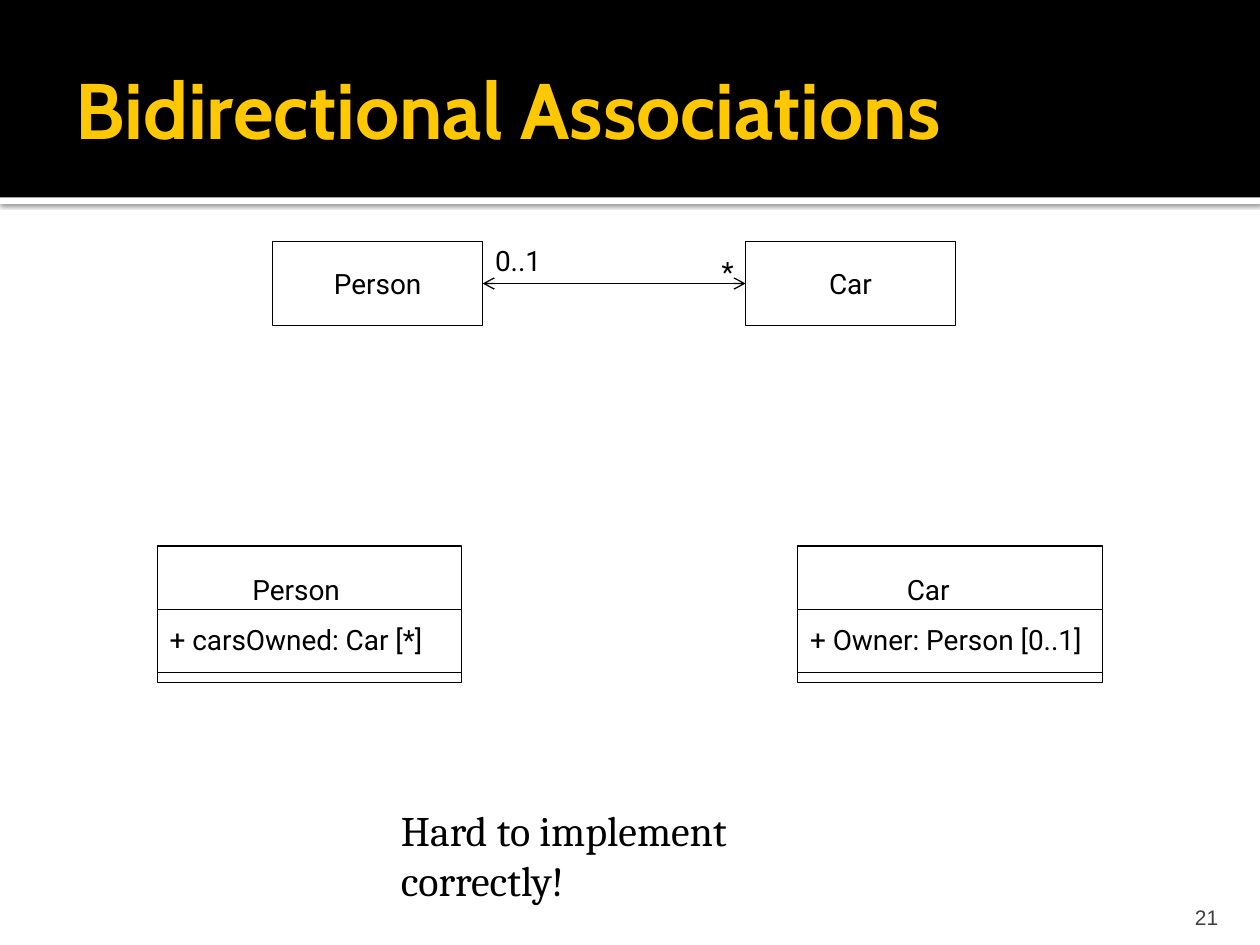
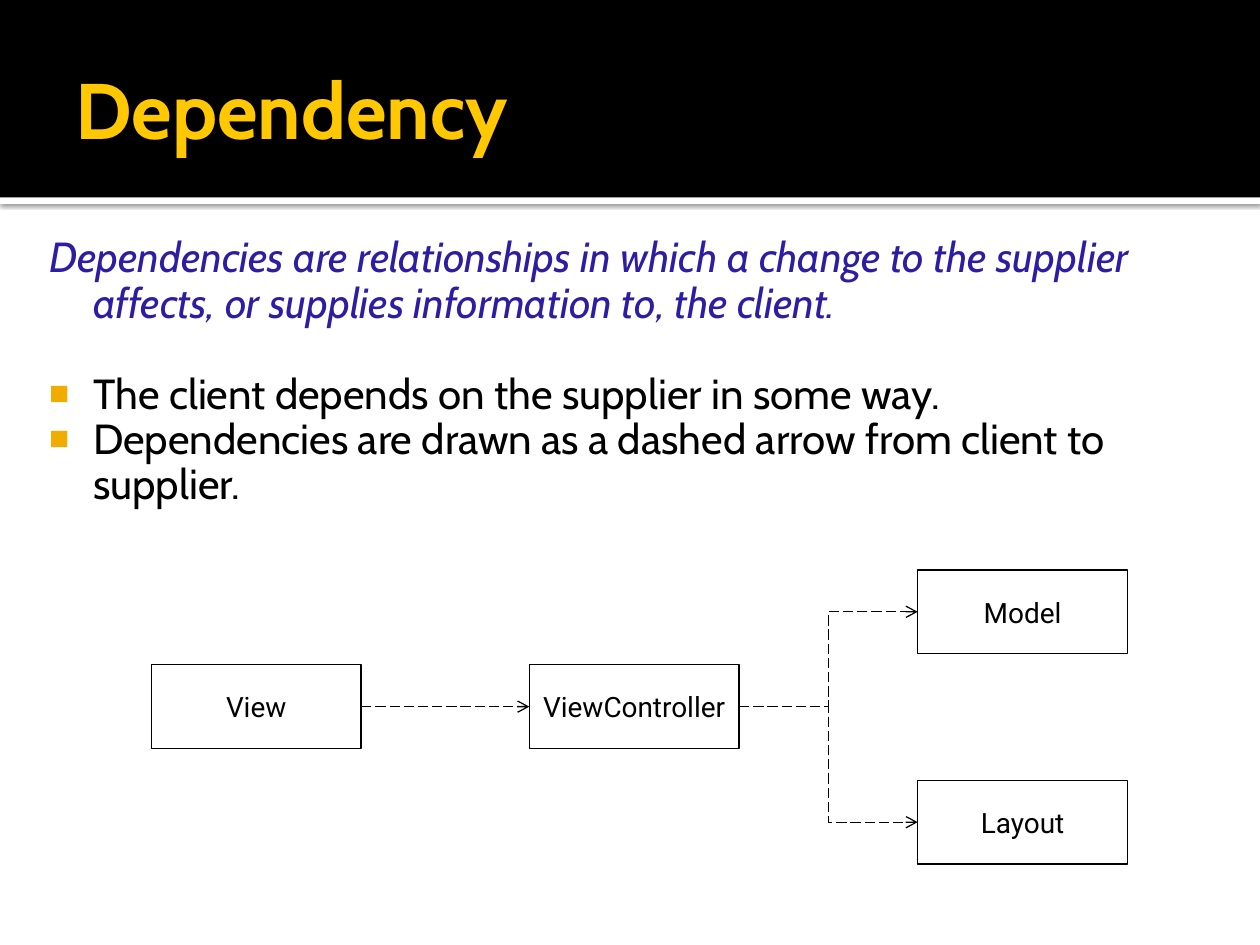
from lxml import etree
from pptx import Presentation, util as u
from pptx.dml.color import RGBColor
from pptx.enum import dml, shapes, text
from pptx.oxml import parse_xml
from pptx.oxml.ns import nsdecls, qn

Cm, Pt = u.Cm, u.Pt

# Content: all positions are in centimetres
ASSOCIATION = {
    "title": "Bidirectional Associations",
    "number": "21",
    "nodes": {"Person": (5.5, 4.87), "Car": (15.03, 4.87)},
    "arrows": [("Person", "Car", "both")],
    "labels": [("*", 14.3, 5.0, 0.74), ("0..1", 9.73, 4.78, 1.45)],
    "classes": [  # name, name indent, attribute, left
        ("Person", 1.67, "+ carsOwned: Car [*]", 3.17),
        ("Car", 1.95, "+ Owner: Person [0..1]", 16.08),
    ],
    "remark": "Hard to implement correctly!",
}
DEPENDENCY = {
    "title": "Dependency",
    "definition": "Dependencies are relationships in which a change to the "
                  "supplier affects, or supplies information to, the client.",
    "points": [
        "The client depends on the supplier in some way.",
        "Dependencies are drawn as a dashed arrow from client to supplier.",
    ],
    "nodes": {
        "View": (3.05, 13.4),
        "ViewController": (10.67, 13.4),
        "Model": (18.5, 11.49),
        "Layout": (18.5, 15.73),
    },
    "arrows": [
        ("View", "ViewController", "dashed"),
        ("ViewController", "Model", "dashed"),
        ("ViewController", "Layout", "dashed"),
    ],
}

# Shared look
COLOURS = {
    "ink": "000000", "paper": "FFFFFF", "title": "FFC800",
    "definition": "2D1DA3", "bullet": "F0AD00", "number": "3F3F3F",
}
FORMATS = {  # colour key, then font attributes
    "title": ("title", {"name": "Cabin", "size": Pt(45), "bold": True}),
    "definition": ("definition", {"name": "Cabin", "size": Pt(24), "italic": True}),
    "point": ("ink", {"name": "Cabin", "size": Pt(24)}),
    "diagram": ("ink", {"name": "Roboto", "size": Pt(16)}),
    "remark": ("ink", {"name": "Cambria", "size": Pt(24)}),
    "number": ("number", {"name": "Arial", "size": Pt(12)}),
}
SLIDE_SIZE = (25.4, 19.05)
BAND_HEIGHT, STRIPE_HEIGHT = 3.98, 0.13
NODE_SIZE = (4.23, 1.69)
CLASS_TOP, CLASS_SIZE, DIVIDERS = 11.01, (6.14, 2.75), (1.27, 2.54)
HANGING = 0.89
MIDDLE, BOTTOM = text.MSO_ANCHOR.MIDDLE, text.MSO_ANCHOR.BOTTOM
CENTER, RIGHT = text.PP_ALIGN.CENTER, text.PP_ALIGN.RIGHT


def rgb(key):
    return RGBColor.from_string(COLOURS[key])


def style(paragraph, format_name):
    colour, values = FORMATS[format_name]
    for attribute, value in values.items():
        setattr(paragraph.font, attribute, value)
    paragraph.font.color.rgb = rgb(colour)


def write(paragraph, words, format_name, **values):
    paragraph.text = words
    for attribute, value in values.items():
        setattr(paragraph, attribute, value)
    style(paragraph, format_name)


def set_frame(frame, anchor=None, wrap=True, margins=(0.25, 0.13, 0.25, 0.13)):
    frame.word_wrap = wrap
    if anchor is not None:
        frame.vertical_anchor = anchor
    for side, margin in zip(("left", "top", "right", "bottom"), margins):
        setattr(frame, f"margin_{side}", Cm(margin))


def add_words(slide, words, format_name, place, align=None, **frame_values):
    frame = slide.shapes.add_textbox(*map(Cm, place)).text_frame
    set_frame(frame, **frame_values)
    write(frame.paragraphs[0], words, format_name, alignment=align)
    return frame


def add_rectangle(slide, place, fill=None):
    rectangle = slide.shapes.add_shape(shapes.MSO_SHAPE.RECTANGLE, *map(Cm, place))
    rectangle.shadow.inherit = False
    if fill:
        rectangle.fill.solid()
        rectangle.fill.fore_color.rgb = rgb(fill)
        rectangle.line.fill.background()
    else:
        rectangle.fill.background()
        rectangle.line.color.rgb = rgb("ink")
        rectangle.line.width = Pt(0.75)
    return rectangle


def add_line(slide, kind, ends):
    line = slide.shapes.add_connector(kind, *ends)
    line.line.color.rgb = rgb("ink")
    line.line.width = Pt(0.75)
    etree.SubElement(line._element.spPr, qn("a:effectLst"))
    return line


def add_stripe_shadow(stripe):
    effects = stripe._element.spPr.find(qn("a:effectLst"))
    effects.append(parse_xml(
        f'<a:outerShdw {nsdecls("a")} blurRad="{Pt(2.5)}" dist="{Pt(0.8)}" '
        'dir="5400000" algn="t" rotWithShape="0">'
        f'<a:srgbClr val="{COLOURS["ink"]}"><a:alpha val="60000"/></a:srgbClr>'
        '</a:outerShdw>'))


def start_slide(deck, title):
    slide = deck.slides.add_slide(deck.slide_layouts[6])
    width = SLIDE_SIZE[0]
    add_stripe_shadow(add_rectangle(
        slide, (0, BAND_HEIGHT, width, STRIPE_HEIGHT), "paper"))
    add_rectangle(slide, (0, 0, width, BAND_HEIGHT), "ink")
    add_words(slide, title, "title", (1.27, 0.43, 22.86, 3.48),
              anchor=MIDDLE, margins=(0.25, 0.13, 0.13, 0.13))
    return slide


def add_diagram(slide, nodes, arrows):
    boxes = {}
    for name, corner in nodes.items():
        boxes[name] = add_rectangle(slide, corner + NODE_SIZE)
        frame = boxes[name].text_frame
        set_frame(frame, anchor=MIDDLE, wrap=False)
        write(frame.paragraphs[0], name, "diagram", alignment=CENTER)
    for source, target, kind in arrows:
        level = nodes[source][1] == nodes[target][1]
        route = shapes.MSO_CONNECTOR.STRAIGHT if level else shapes.MSO_CONNECTOR.ELBOW
        arrow = add_line(slide, route, (0, 0, 0, 0))
        arrow.begin_connect(boxes[source], 3)
        arrow.end_connect(boxes[target], 1)
        if kind == "dashed":
            arrow.line.dash_style = dml.MSO_LINE.LONG_DASH
        for end in ("headEnd", "tailEnd") if kind == "both" else ("tailEnd",):
            etree.SubElement(arrow.line._get_or_add_ln(), qn(f"a:{end}"), type="arrow")


def add_class(slide, name, name_indent, attribute, left):
    width = CLASS_SIZE[0]
    frame = add_rectangle(slide, (left, CLASS_TOP) + CLASS_SIZE).text_frame
    set_frame(frame, anchor=MIDDLE, margins=(0.25, 0.13, 0.1, 0.13))
    heading = frame.paragraphs[0]
    heading._p.get_or_add_pPr().set("marL", str(Cm(name_indent)))
    write(heading, name, "diagram", alignment=text.PP_ALIGN.LEFT)
    write(frame.add_paragraph(), attribute, "diagram",
          alignment=text.PP_ALIGN.LEFT, space_before=Pt(9))
    for offset in DIVIDERS:
        y = CLASS_TOP + offset
        add_line(slide, shapes.MSO_CONNECTOR.STRAIGHT,
                 map(Cm, (left, y, left + width, y)))


def hang(paragraph, bullet=False):
    properties = paragraph._p.get_or_add_pPr()
    properties.set("marL", str(Cm(1.22)))
    properties.set("indent", str(-Cm(HANGING)))
    if bullet:
        colour = etree.SubElement(properties, qn("a:buClr"))
        etree.SubElement(colour, qn("a:srgbClr"), val=COLOURS["bullet"])
        etree.SubElement(properties, qn("a:buSzPct"), val="80000")
        etree.SubElement(properties, qn("a:buFont"), typeface="Arial")
        etree.SubElement(properties, qn("a:buChar"), char="■")


def build_association(deck, content):
    slide = start_slide(deck, content["title"])
    add_words(slide, content["number"], "number", (22.78, 17.98, 2.03, 0.76),
              align=RIGHT, anchor=BOTTOM, margins=(0.25, 0.13, 0.25, 0))
    add_diagram(slide, content["nodes"], content["arrows"])
    for words, left, top, width in content["labels"]:
        add_words(slide, words, "diagram", (left, top, width, 0.94), wrap=False)
    for entry in content["classes"]:
        add_class(slide, *entry)
    add_words(slide, content["remark"], "remark", (7.83, 16.08, 10.41, 1.27))


def build_dependency(deck, content):
    slide = start_slide(deck, content["title"])
    frame = add_words(slide, content["definition"], "definition",
                      (0.51, 4.52, 25.02 - 0.13, 6.2),
                      margins=(0.15, 0.25, 0.25, 0.13))
    hang(frame.paragraphs[0])
    frame.paragraphs[0].line_spacing = 0.9
    for position, point in enumerate(content["points"]):
        paragraph = frame.add_paragraph()
        hang(paragraph, bullet=True)
        write(paragraph, point, "point", line_spacing=0.9,
              space_before=Pt(0 if position else 26))
    add_diagram(slide, content["nodes"], content["arrows"])


def main():
    deck = Presentation()
    deck.slide_width, deck.slide_height = map(Cm, SLIDE_SIZE)
    build_association(deck, ASSOCIATION)
    build_dependency(deck, DEPENDENCY)
    deck.save("out.pptx")


if __name__ == "__main__":
    main()
